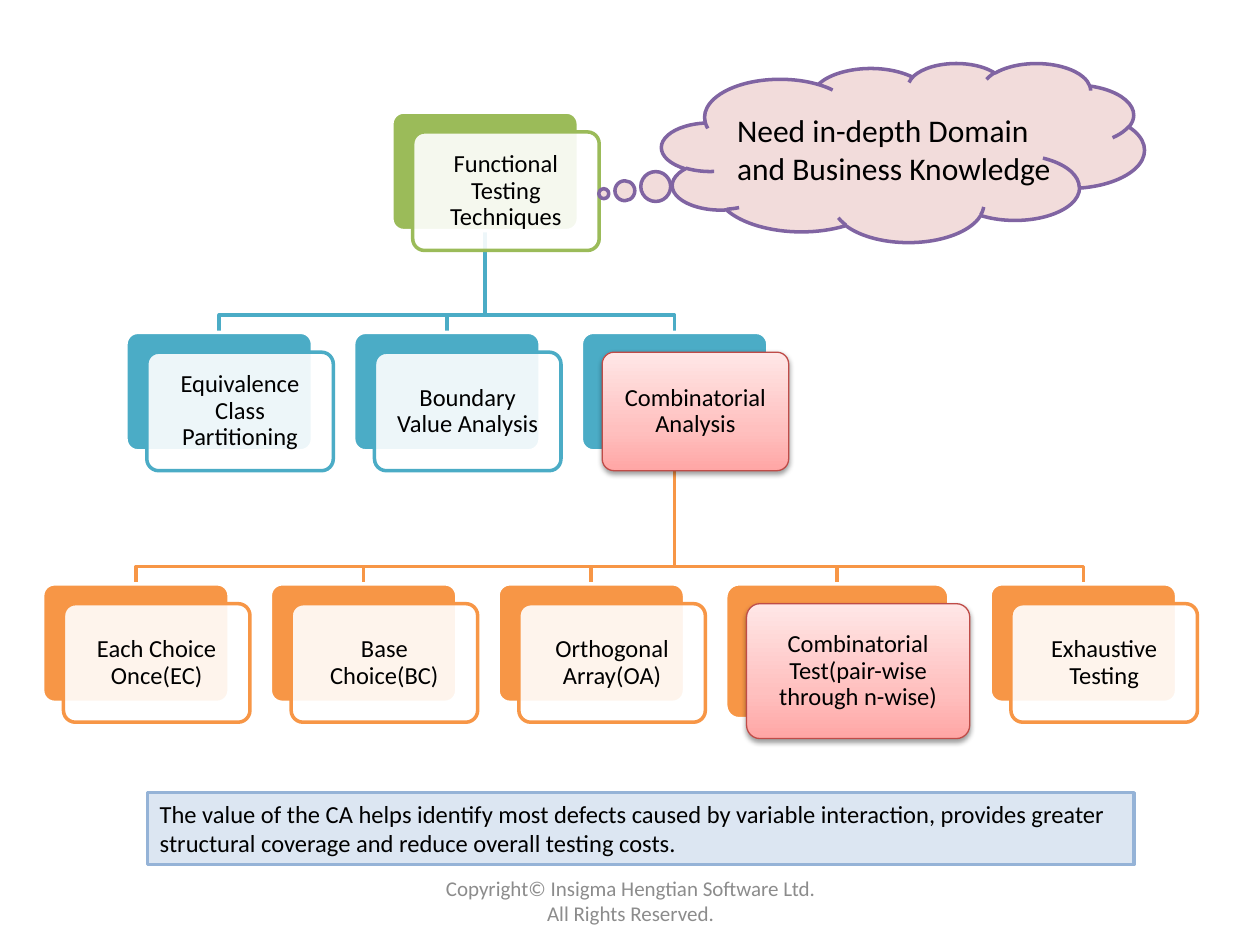
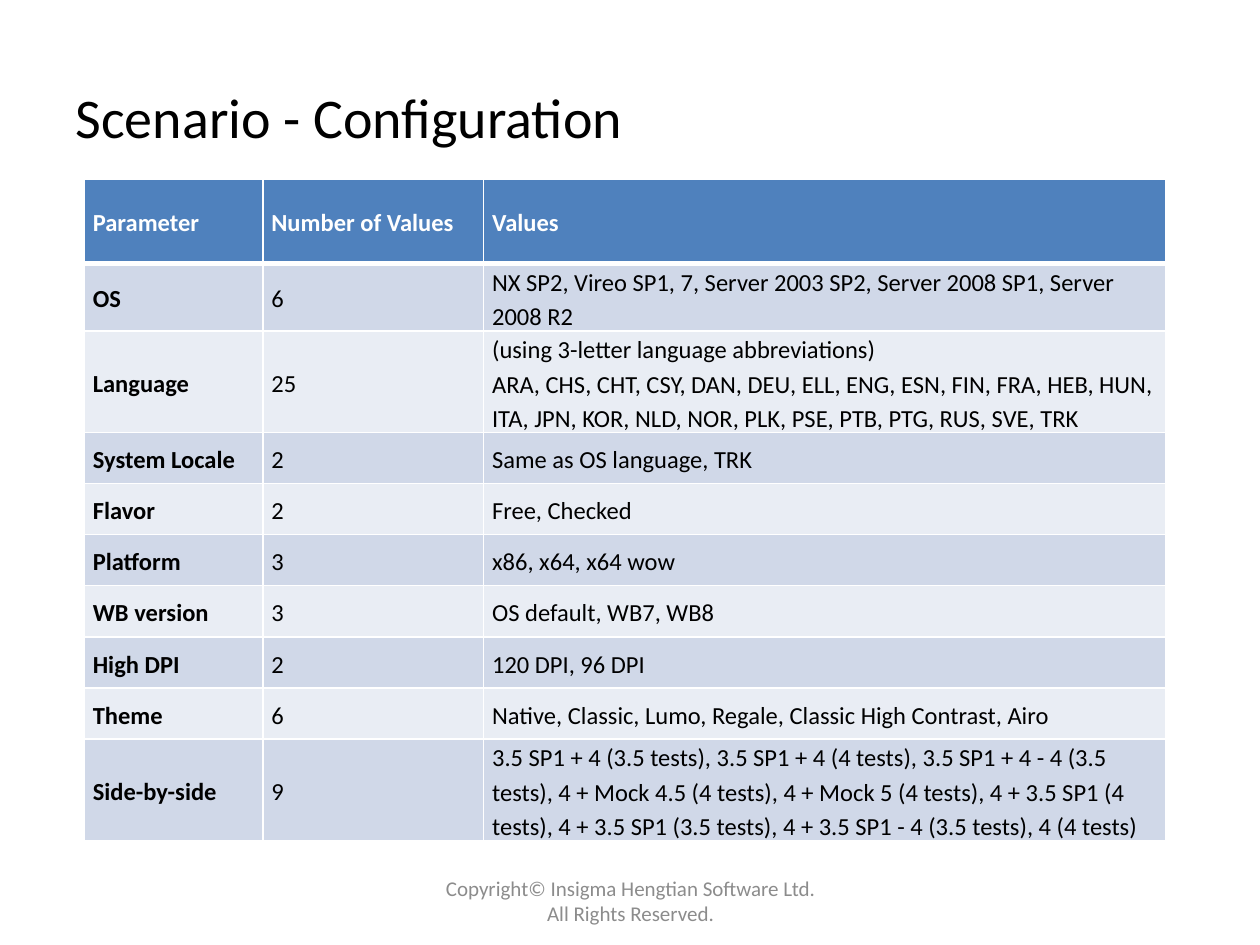
from dataclasses import dataclass
from itertools import accumulate

from pptx import Presentation
from pptx import util as u
from pptx.dml.color import RGBColor
from pptx.enum import shapes, text
from pptx.oxml import parse_xml
from pptx.oxml.ns import nsdecls, qn


@dataclass(frozen=True)
class Theme:
    font: str = "Calibri"
    black: str = "000000"
    white: str = "FFFFFF"
    gray: str = "8C8C8C"
    green: str = "9BBB59"
    teal: str = "4BACC6"
    orange: str = "F79646"
    red: str = "BF4C48"
    purple: str = "8064A2"
    pink: str = "F2DCDB"
    pale_blue: str = "DCE6F2"
    mid_blue: str = "95B3D7"
    header_blue: str = "4F81BD"
    bands: tuple = ("D0D8E8", "E9EDF4")
    glow: tuple = ((0, "FFA6A5"), (35, "FFC0BF"), (100, "FFE7E7"))
    title_size: int = 32
    callout_size: int = 18
    body_size: int = 14
    footer_size: int = 12


THEME = Theme()
FOOTER = "Copyright© Insigma Hengtian Software Ltd. All Rights Reserved."

NODE_WIDTH, NODE_HEIGHT, NODE_GAP = 3.76, 2.39, 0.83
FRONT_SHIFT = 0.42, 0.4
ELBOW_RISE = 0.35

ROOT_LEVEL = (7.9, 2.26, THEME.green, [("Functional Testing Techniques", False)])
TECHNIQUE_LEVEL = (2.54, 6.7, THEME.teal, [
    ("Equivalence Class Partitioning", False),
    ("Boundary Value Analysis", False),
    ("Combinatorial Analysis", True),
])
COMBINATION_LEVEL = (0.86, 11.77, THEME.orange, [
    ("Each Choice Once(EC)", False),
    ("Base Choice(BC)", False),
    ("Orthogonal Array(OA)", False),
    ("Combinatorial Test(pair-wise through n-wise)", True),
    ("Exhaustive Testing", False),
])
WIDE_NODES = {"Combinatorial Test(pair-wise through n-wise)": (4.5, 2.72)}

CONFIGURATION = [
    ("Parameter", "Number of Values", "Values"),
    ("OS", "6", "NX SP2, Vireo SP1, 7, Server 2003 SP2, Server 2008 SP1, Server 2008 R2"),
    ("Language", "25", "(using 3-letter language abbreviations)\v"
     "ARA, CHS, CHT, CSY, DAN, DEU, ELL, ENG, ESN, FIN, FRA, HEB, HUN, "
     "ITA, JPN, KOR, NLD, NOR, PLK, PSE, PTB, PTG, RUS, SVE, TRK"),
    ("System Locale", "2", "Same as OS language, TRK"),
    ("Flavor", "2", "Free, Checked"),
    ("Platform", "3", "x86, x64, x64 wow"),
    ("WB version", "3", "OS default, WB7, WB8"),
    ("High DPI", "2", "120 DPI, 96 DPI"),
    ("Theme", "6", "Native, Classic, Lumo, Regale, Classic High Contrast, Airo"),
    ("Side-by-side", "9", "3.5 SP1 + 4 (3.5 tests), 3.5 SP1 + 4 (4 tests), "
     "3.5 SP1 + 4 - 4 (3.5 tests), 4 + Mock 4.5 (4 tests), 4 + Mock 5 (4 tests), "
     "4 + 3.5 SP1 (4 tests), 4 + 3.5 SP1 (3.5 tests), 4 + 3.5 SP1 - 4 (3.5 tests), "
     "4 (4 tests)"),
]


def rgb(color):
    return RGBColor.from_string(color)


class Deck:
    def __init__(self, theme):
        self.theme = theme
        self.presentation = Presentation()
        self.presentation.slide_width = u.Cm(25.4)
        self.presentation.slide_height = u.Cm(19.05)
        self.slide = None

    def new_slide(self, title=None):
        layout = self.presentation.slide_layouts[5 if title else 6]
        self.slide = self.presentation.slides.add_slide(layout)
        if title:
            placeholder = self.slide.shapes.title
            placeholder.left, placeholder.top = u.Cm(1.27), u.Cm(0.76)
            placeholder.width, placeholder.height = u.Cm(22.86), u.Cm(3.18)
            self.set_text(placeholder.text_frame, title, self.theme.title_size,
                          anchor=text.MSO_ANCHOR.MIDDLE)
        self.text_box(8.69, 17.65, 8.05, 1.02, FOOTER, self.theme.footer_size,
                      color=self.theme.gray, align=text.PP_ALIGN.CENTER,
                      anchor=text.MSO_ANCHOR.MIDDLE)

    def set_text(self, frame, content, size, color=None, bold=False,
                 align=text.PP_ALIGN.LEFT, anchor=text.MSO_ANCHOR.TOP, spacing=None):
        frame.text = content
        frame.word_wrap = True
        frame.vertical_anchor = anchor
        for paragraph in frame.paragraphs:
            paragraph.alignment = align
            paragraph.line_spacing = spacing
            for run in paragraph.runs:
                run.font.name = self.theme.font
                run.font.size = u.Pt(size)
                run.font.bold = bold
                run.font.color.rgb = rgb(color or self.theme.black)

    def text_box(self, left, top, width, height, content, size, **style):
        box = self.slide.shapes.add_textbox(*map(u.Cm, (left, top, width, height)))
        self.set_text(box.text_frame, content, size, **style)

    def shape(self, kind, left, top, width, height, fill, line, weight=2):
        shape = self.slide.shapes.add_shape(kind, *map(u.Cm, (left, top, width, height)))
        shape.shadow.inherit = False
        shape.fill.solid()
        shape.fill.fore_color.rgb = rgb(fill)
        shape.line.color.rgb = rgb(line)
        shape.line.width = u.Pt(weight)
        return shape

    def rounded(self, left, top, width, height, fill, line, weight=2):
        shape = self.shape(shapes.MSO_SHAPE.ROUNDED_RECTANGLE,
                           left, top, width, height, fill, line, weight)
        shape.adjustments[0] = 0.1
        return shape

    def make_translucent(self, shape, percent):
        color = shape.element.spPr.find(qn("a:solidFill")).find(qn("a:srgbClr"))
        color.append(parse_xml(f'<a:alpha {nsdecls("a")} val="{percent * 1000}"/>'))

    def make_glowing(self, shape):
        shape.fill.gradient()
        shape.fill.gradient_angle = 90
        properties = shape.element.spPr
        stops = properties.find(qn("a:gradFill")).find(qn("a:gsLst"))
        for stop in list(stops):
            stops.remove(stop)
        for position, color in self.theme.glow:
            stops.append(parse_xml(
                f'<a:gs {nsdecls("a")} pos="{position * 1000}">'
                f'<a:srgbClr val="{color}"/></a:gs>'))
        properties.find(qn("a:effectLst")).append(parse_xml(
            f'<a:outerShdw {nsdecls("a")} blurRad="{u.Pt(3.1)}" dist="{u.Pt(1.6)}" '
            'dir="5400000" rotWithShape="0"><a:srgbClr val="000000">'
            '<a:alpha val="38000"/></a:srgbClr></a:outerShdw>'))

    def node(self, left, top, width, height, label, color, highlighted):
        white = self.theme.white
        self.rounded(left, top, width, height, color, white)
        front = self.rounded(left + FRONT_SHIFT[0], top + FRONT_SHIFT[1], width, height,
                             white, self.theme.red if highlighted else color,
                             0.75 if highlighted else 2)
        if highlighted:
            self.make_glowing(front)
        else:
            self.make_translucent(front, 90)
        frame = front.text_frame
        frame.margin_left = frame.margin_right = u.Cm(0.23)
        frame.margin_top = frame.margin_bottom = u.Cm(0.23)
        self.set_text(frame, label, self.theme.body_size, align=text.PP_ALIGN.CENTER,
                      anchor=text.MSO_ANCHOR.MIDDLE, spacing=0.9)

    def level_boxes(self, level):
        start, top, _, nodes = level
        sizes = [WIDE_NODES.get(label, (NODE_WIDTH, NODE_HEIGHT)) for label, _ in nodes]
        lefts = accumulate((width + NODE_GAP for width, _ in sizes), initial=start)
        return [(left, top, *size) for left, size in zip(lefts, sizes)]

    def level(self, level):
        _, _, color, nodes = level
        for box, (label, highlighted) in zip(self.level_boxes(level), nodes):
            self.node(*box, label, color, highlighted)

    def branches(self, parent, level):
        left, top, width, height = parent
        start_x, start_y = left + width / 2, top + height
        for child_left, child_top, child_width, _ in self.level_boxes(level):
            end_x, elbow_y = child_left + child_width / 2, child_top - ELBOW_RISE
            points = [(start_x, elbow_y), (end_x, elbow_y), (end_x, child_top)]
            builder = self.slide.shapes.build_freeform(u.Cm(start_x), u.Cm(start_y))
            builder.add_line_segments([(u.Cm(x), u.Cm(y)) for x, y in points], close=False)
            branch = builder.convert_to_shape()
            branch.shadow.inherit = False
            branch.fill.background()
            branch.line.color.rgb = rgb(level[2])
            branch.line.width = u.Pt(2)

    def border(self, cell, **weights):
        for side in "LRTB":
            cell._tc.get_or_add_tcPr().append(parse_xml(
                f'<a:ln{side} {nsdecls("a")} w="{u.Pt(weights.get(side, 1))}"><a:solidFill>'
                f'<a:srgbClr val="{self.theme.white}"/></a:solidFill></a:ln{side}>'))

    def table(self, left, top, widths, header_height, row_height, rows):
        theme = self.theme
        heights = [header_height] + [row_height] * (len(rows) - 1)
        table = self.slide.shapes.add_table(
            len(rows), len(widths),
            *map(u.Cm, (left, top, sum(widths), sum(heights)))).table
        for column, width in zip(table.columns, widths):
            column.width = u.Cm(width)
        for i, (row, height, values) in enumerate(zip(table.rows, heights, rows)):
            row.height = u.Cm(height)
            header = i == 0
            weights = {"B": 3} if header else {"T": 3} if i == 1 else {}
            for j, (cell, value) in enumerate(zip(row.cells, values)):
                self.border(cell, **weights)
                cell.fill.solid()
                cell.fill.fore_color.rgb = rgb(
                    theme.header_blue if header else theme.bands[(i - 1) % 2])
                cell.margin_left = cell.margin_right = u.Cm(0.17)
                cell.margin_top = cell.margin_bottom = 0
                self.set_text(cell.text_frame, value, theme.body_size,
                              color=theme.white if header else theme.black,
                              bold=header or j == 0, spacing=1.15)
                cell.vertical_anchor = text.MSO_ANCHOR.MIDDLE


def techniques_slide(deck):
    theme = deck.theme
    deck.new_slide()
    deck.branches(deck.level_boxes(TECHNIQUE_LEVEL)[-1], COMBINATION_LEVEL)
    deck.branches(deck.level_boxes(ROOT_LEVEL)[0], TECHNIQUE_LEVEL)
    for level in (ROOT_LEVEL, TECHNIQUE_LEVEL, COMBINATION_LEVEL):
        deck.level(level)
    cloud = deck.shape(shapes.MSO_SHAPE.CLOUD_CALLOUT, 13.34, 1.27, 9.73, 3.61,
                       theme.pink, theme.purple)
    cloud.adjustments[0], cloud.adjustments[1] = -0.62, 0.23
    deck.text_box(14.61, 2.11, 7.19, 1.8, "Need in-depth Domain and Business Knowledge",
                  theme.callout_size)
    benefit = deck.shape(shapes.MSO_SHAPE.RECTANGLE, 2.97, 15.98, 19.89, 1.45,
                         theme.pale_blue, theme.mid_blue)
    deck.set_text(benefit.text_frame,
                  "The value of the CA helps identify most defects caused by variable "
                  "interaction, provides greater structural coverage and reduce overall "
                  "testing costs.", theme.body_size)


def configuration_slide(deck):
    deck.new_slide("Scenario - Configuration")
    deck.table(1.7, 3.61, (3.6, 4.45, 13.76), 1.7, 1.03, CONFIGURATION)


def main():
    deck = Deck(THEME)
    techniques_slide(deck)
    configuration_slide(deck)
    deck.presentation.save("out.pptx")


if __name__ == "__main__":
    main()
